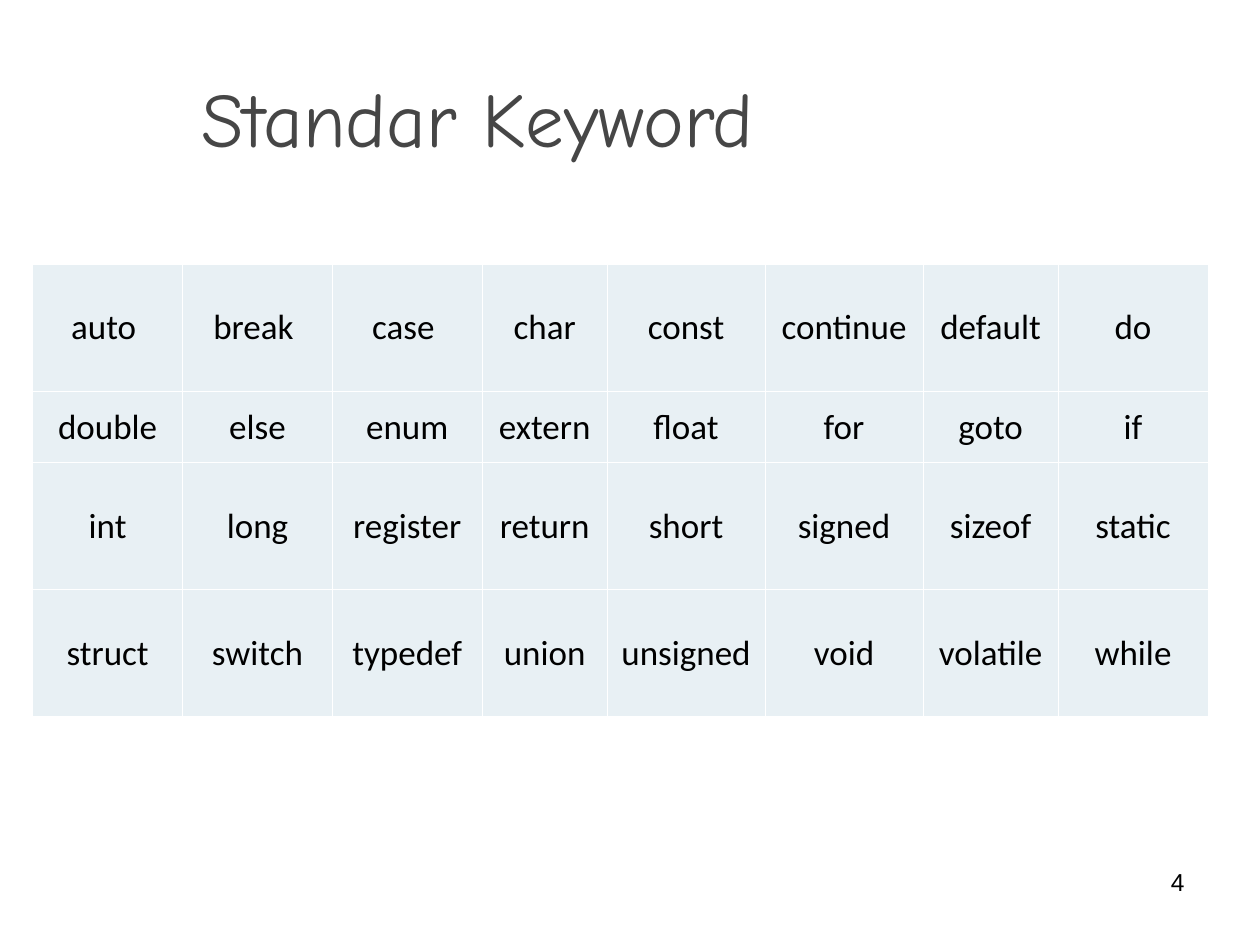
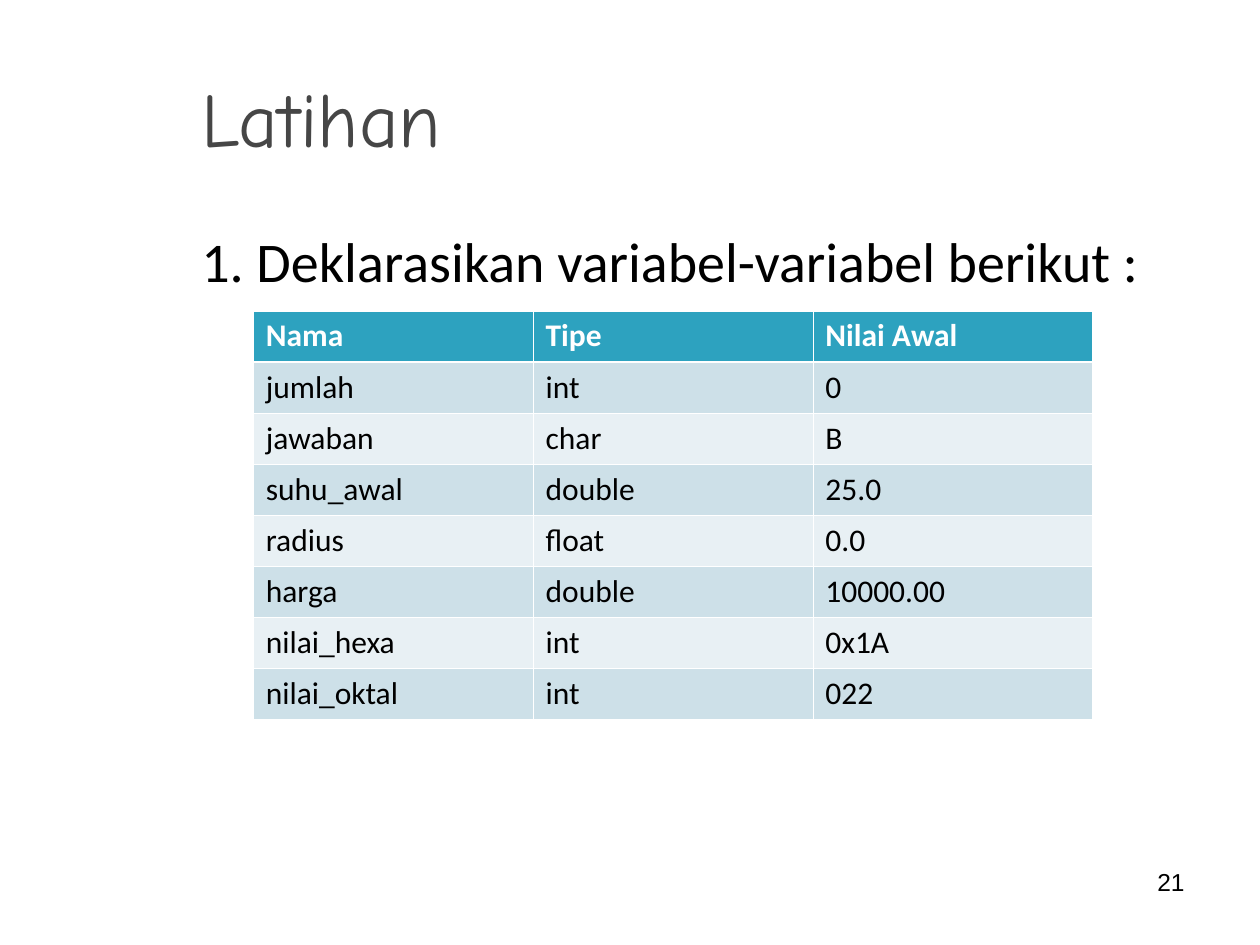
from dataclasses import dataclass

import lxml.etree
import pptx
import pptx.dml.color
import pptx.enum.text
import pptx.oxml.ns
import pptx.util

Cm = pptx.util.Cm
Pt = pptx.util.Pt
ALIGN = pptx.enum.text.PP_ALIGN
ANCHOR = pptx.enum.text.MSO_ANCHOR

COLOURS = {
    "title": "464646",
    "text": "000000",
    "white": "FFFFFF",
    "header": "2DA2BF",
    "dark band": "CDE0E8",
    "light band": "E8F0F4",
}
THIN, THICK = 0.45, 1.47  # table rules, in points


@dataclass(frozen=True)
class TextStyle:
    font: str
    size: float
    colour: str = "text"
    bold: bool = False
    align: ALIGN = ALIGN.LEFT
    anchor: ANCHOR = ANCHOR.TOP
    hanging: float = 0  # cm


@dataclass(frozen=True)
class Area:
    left: float
    top: float
    width: float
    height: float

    def lengths(self) -> list[Cm]:
        return [Cm(self.left), Cm(self.top), Cm(self.width), Cm(self.height)]


@dataclass(frozen=True)
class Grid:
    left: float
    top: float
    columns: list[float]
    rows: list[float]
    texts: list[list[str]]
    style: TextStyle
    bands: tuple[str, ...]
    header: TextStyle | None = None


# Shared layout and text styles
TITLE_AREA = Area(3.81, 0.76, 21.34, 3.18)
BODY_AREA = Area(3.81, 4.45, 21.34, 12.57)
NUMBER_AREA = Area(18.21, 17.35, 5.92, 1.32)

TITLE = TextStyle("Comic Neue", 44, "title", anchor=ANCHOR.MIDDLE)
BODY = TextStyle("Calibri", 32, hanging=1.42)
NUMBER = TextStyle("Arial", 14, align=ALIGN.RIGHT)
KEYWORD = TextStyle("Calibri", 20, align=ALIGN.CENTER, anchor=ANCHOR.MIDDLE)
HEADER = TextStyle("Calibri", 18, "white", bold=True)
ENTRY = TextStyle("Calibri", 18)

# Table contents
KEYWORDS = Grid(
    left=0.66,
    top=5.33,
    columns=[3.02, 3.02, 3.02, 2.52, 3.18, 3.19, 2.72, 3.02],
    rows=[2.56, 1.44, 2.56, 2.56],
    texts=[
        ["auto ", "break ", "case ", "char", "const", "continue", "default", "do"],
        ["double", "else", "enum", "extern", "float", "for", "goto", "if"],
        ["int", "long", "register", "return", "short", "signed", "sizeof", "static"],
        ["struct", "switch", "typedef", "union", "unsigned", "void", "volatile", "while"],
    ],
    style=KEYWORD,
    bands=("light band",),
)
VARIABLES = Grid(
    left=5.11,
    top=6.27,
    columns=[5.64] * 3,
    rows=[1.03] * 8,
    texts=[
        ["Nama", "Tipe", "Nilai Awal"],
        ["jumlah", "int", "0"],
        ["jawaban", "char", "B"],
        ["suhu_awal", "double", "25.0"],
        ["radius", "float", "0.0"],
        ["harga", "double", "10000.00"],
        ["nilai_hexa", "int", "0x1A"],
        ["nilai_oktal", "int", "022"],
    ],
    style=ENTRY,
    bands=("light band", "dark band"),
    header=HEADER,
)


def rgb(name: str) -> pptx.dml.color.RGBColor:
    return pptx.dml.color.RGBColor.from_string(COLOURS[name])


def assign(target, values: dict) -> None:
    for name, value in values.items():
        setattr(target, name, value)


def write(frame, text: str, style: TextStyle) -> None:
    """Put one formatted paragraph into a text frame."""
    para = frame.paragraphs[0]
    para.alignment = style.align
    if style.hanging:
        properties = para._p.get_or_add_pPr()
        properties.set("marL", str(Cm(style.hanging)))
        properties.set("indent", str(-Cm(style.hanging)))
    span = para.add_run()
    span.text = text
    assign(span.font, {"name": style.font, "size": Pt(style.size), "bold": style.bold})
    span.font.color.rgb = rgb(style.colour)


def add_text(page, area: Area, text: str, style: TextStyle) -> None:
    frame = page.shapes.add_textbox(*area.lengths()).text_frame
    assign(frame, {"word_wrap": True, "vertical_anchor": style.anchor})
    write(frame, text, style)


def add_border(cell, side: str, width: float) -> None:
    qualified = pptx.oxml.ns.qn
    line = lxml.etree.SubElement(
        cell._tc.get_or_add_tcPr(), qualified(f"a:ln{side}"), w=str(Pt(width))
    )
    fill = lxml.etree.SubElement(line, qualified("a:solidFill"))
    lxml.etree.SubElement(fill, qualified("a:srgbClr"), val=COLOURS["white"])


def add_grid(page, grid: Grid) -> None:
    area = Area(grid.left, grid.top, sum(grid.columns), sum(grid.rows))
    table = page.shapes.add_table(
        len(grid.rows), len(grid.columns), *area.lengths()
    ).table
    assign(table, {"first_row": grid.header is not None, "horz_banding": len(grid.bands) > 1})
    for column, width in zip(table.columns, grid.columns):
        column.width = Cm(width)
    for row, height in zip(table.rows, grid.rows):
        row.height = Cm(height)

    for row_index, texts in enumerate(grid.texts):
        is_header = grid.header is not None and row_index == 0
        below_header = grid.header is not None and row_index == 1
        style = grid.header if is_header else grid.style
        fill = "header" if is_header else grid.bands[row_index % len(grid.bands)]
        borders = {
            "L": THIN,
            "R": THIN,
            "T": THICK if below_header else THIN,
            "B": THICK if is_header else THIN,
        }
        for column_index, text in enumerate(texts):
            cell = table.cell(row_index, column_index)
            assign(cell, {
                "margin_left": Cm(0.25),
                "margin_right": Cm(0.25),
                "margin_top": Cm(0.12),
                "margin_bottom": Cm(0.12),
                "vertical_anchor": style.anchor,
            })
            for side, width in borders.items():
                add_border(cell, side, width)
            cell.fill.solid()
            cell.fill.fore_color.rgb = rgb(fill)
            write(cell.text_frame, text, style)


def add_page(deck, title: str, number: int):
    """Start a slide with the shared title and page number."""
    page = deck.slides.add_slide(deck.slide_layouts[6])
    add_text(page, TITLE_AREA, title, TITLE)
    add_text(page, NUMBER_AREA, str(number), NUMBER)
    return page


def main() -> None:
    deck = pptx.Presentation()
    assign(deck, {"slide_width": Cm(25.4), "slide_height": Cm(19.05)})

    # Keywords of the language
    page = add_page(deck, "Standar Keyword", 4)
    add_grid(page, KEYWORDS)

    # Exercise on declaring variables
    page = add_page(deck, "Latihan", 21)
    add_text(page, BODY_AREA, "1. Deklarasikan variabel-variabel berikut :", BODY)
    add_grid(page, VARIABLES)

    deck.save("out.pptx")


if __name__ == "__main__":
    main()
